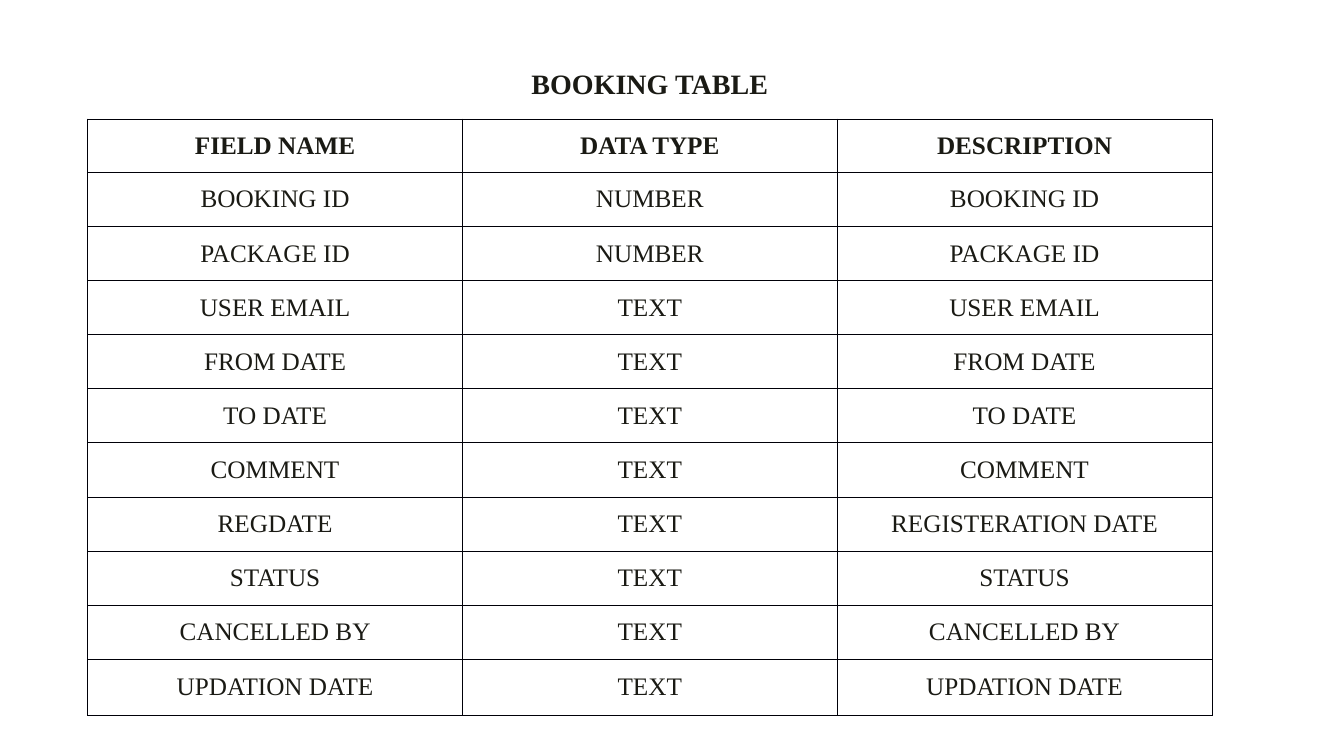
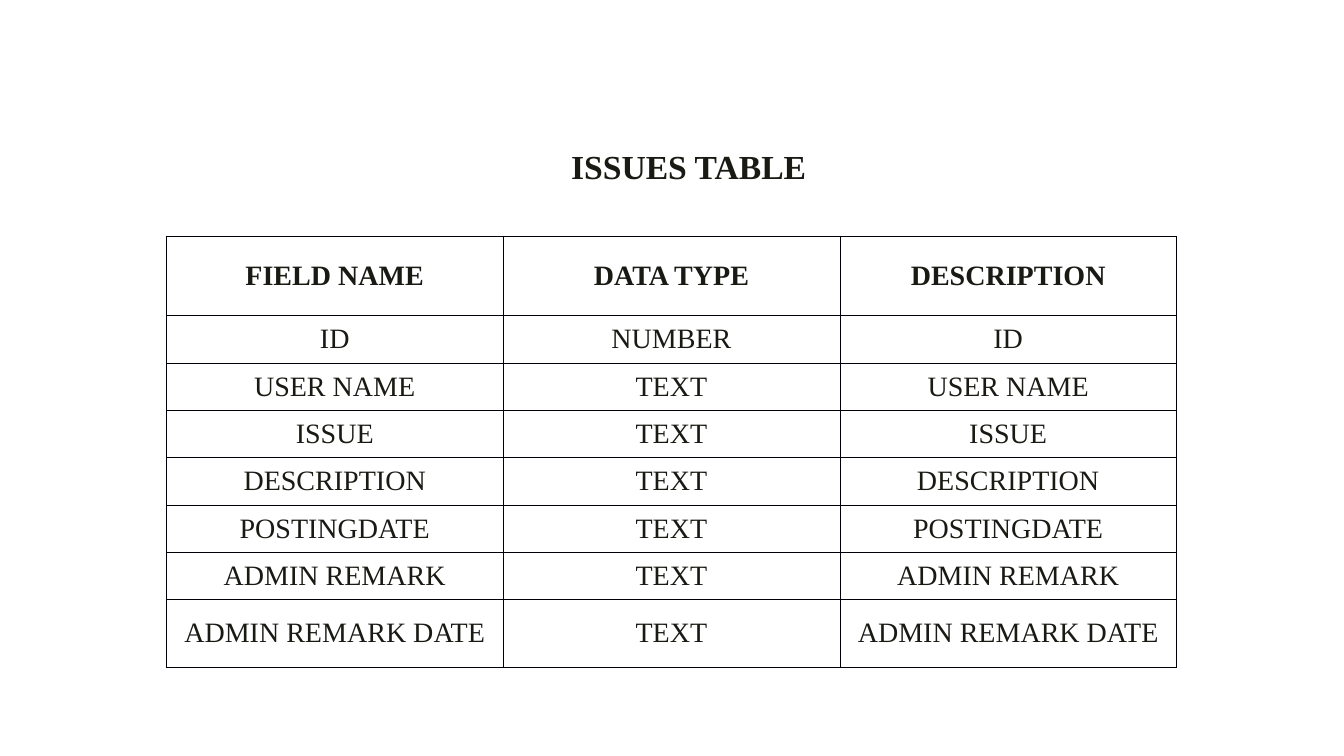
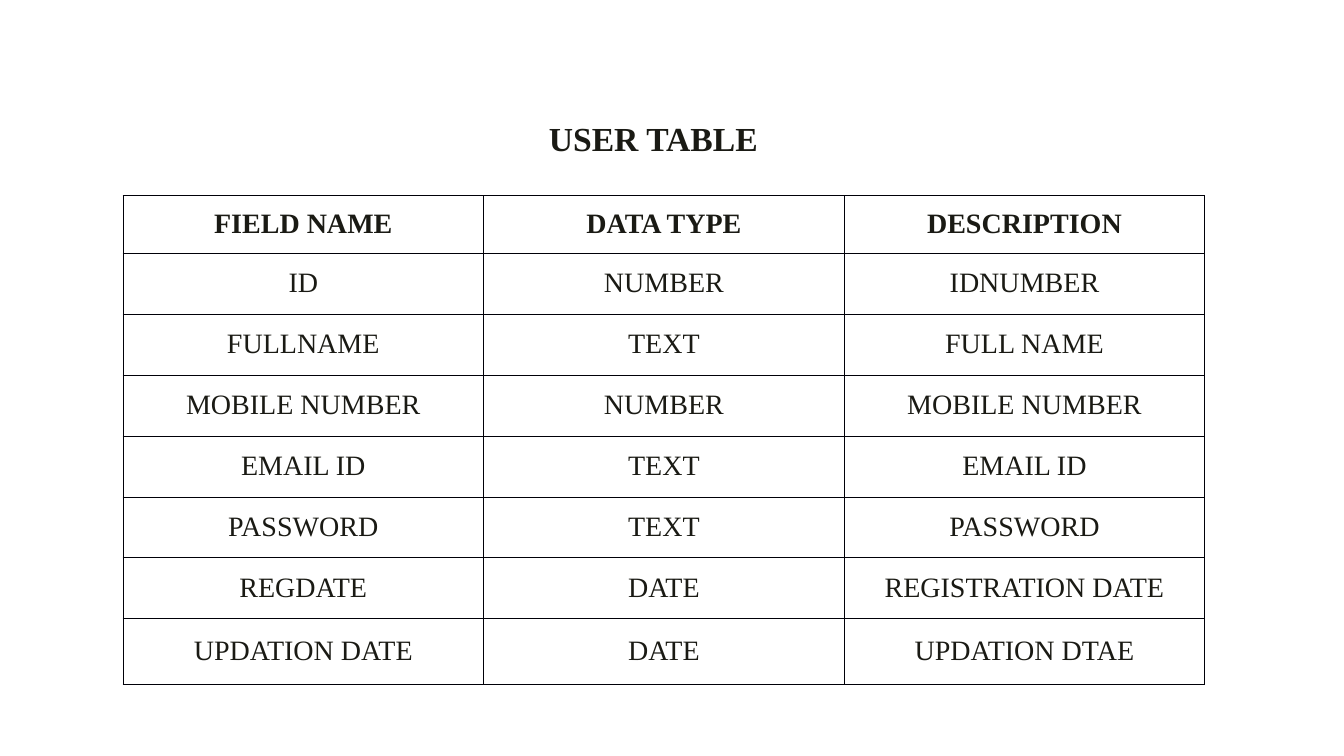
"""Builds three slides that describe the tables of a booking database."""
import dataclasses

import lxml.etree
import pptx
import pptx.dml.color
import pptx.enum.text
import pptx.oxml.ns
import pptx.util
from pptx.util import Inches


@dataclasses.dataclass(frozen=True)
class Theme:
    """Colours, type and line sizes shared by all slides."""
    font: str = "Times New Roman"
    ink: str = "1A1A14"
    paper: str = "FFFFFF"
    border: str = "000008"
    border_width: float = 0.5
    cell_margin: float = 0.07


@dataclasses.dataclass(frozen=True)
class TablePage:
    """Content and layout of one slide, lengths in inches."""
    title: str
    title_at: tuple
    title_size: int
    table_at: tuple
    text_size: int
    header_height: float
    last_height: float
    fields: tuple


THEME = Theme()
HEADER = ("FIELD NAME", "DATA TYPE", "DESCRIPTION")

PAGES = (
    TablePage(
        title="BOOKING TABLE", title_at=(2.96, 0.61, 6.97, 0.45), title_size=20,
        table_at=(0.87, 1.18, 11.15, 5.92), text_size=18,
        header_height=0.53, last_height=0.56,
        fields=(
            ("BOOKING ID", "NUMBER"),
            ("PACKAGE ID", "NUMBER"),
            ("USER EMAIL", "TEXT"),
            ("FROM DATE", "TEXT"),
            ("TO DATE", "TEXT"),
            ("COMMENT", "TEXT"),
            ("REGDATE", "TEXT", "REGISTERATION DATE"),
            ("STATUS", "TEXT"),
            ("CANCELLED BY", "TEXT"),
            ("UPDATION DATE", "TEXT"),
        ),
    ),
    TablePage(
        title="ISSUES TABLE", title_at=(4.05, 1.4, 5.56, 0.74), title_size=24,
        table_at=(1.65, 2.34, 10.02, 4.28), text_size=20,
        header_height=0.79, last_height=0.67,
        fields=(
            ("ID", "NUMBER"),
            ("USER NAME", "TEXT"),
            ("ISSUE", "TEXT"),
            ("DESCRIPTION", "TEXT"),
            ("POSTINGDATE", "TEXT"),
            ("ADMIN REMARK", "TEXT"),
            ("ADMIN REMARK DATE", "TEXT"),
        ),
    ),
    TablePage(
        title="USER TABLE", title_at=(1.31, 1.12, 10.34, 0.74), title_size=24,
        table_at=(1.22, 1.94, 10.73, 4.85), text_size=20,
        header_height=0.57, last_height=0.65,
        fields=(
            ("ID", "NUMBER", "IDNUMBER"),
            ("FULLNAME", "TEXT", "FULL NAME"),
            ("MOBILE NUMBER", "NUMBER"),
            ("EMAIL ID", "TEXT"),
            ("PASSWORD", "TEXT"),
            ("REGDATE", "DATE", "REGISTRATION DATE"),
            ("UPDATION DATE", "DATE", "UPDATION DTAE"),
        ),
    ),
)


def write_text(frame, text, size, bold):
    """Put one centred line into a text frame."""
    frame.text = text
    para = frame.paragraphs[0]
    para.alignment = pptx.enum.text.PP_ALIGN.CENTER
    font = para.runs[0].font
    font.name = THEME.font
    font.size = pptx.util.Pt(size)
    font.bold = bold
    font.color.rgb = pptx.dml.color.RGBColor.from_string(THEME.ink)


def add_title(slide, page):
    """Add the heading above the table."""
    box = slide.shapes.add_textbox(*map(Inches, page.title_at))
    box.text_frame.word_wrap = True
    write_text(box.text_frame, page.title, page.title_size, True)


def set_borders(cell):
    """Draw a thin line on all four sides of a cell."""
    qualify = pptx.oxml.ns.qn
    properties = cell._tc.get_or_add_tcPr()
    width = str(pptx.util.Pt(THEME.border_width))
    for side in ("a:lnL", "a:lnR", "a:lnT", "a:lnB"):
        line = lxml.etree.SubElement(properties, qualify(side), w=width)
        fill = lxml.etree.SubElement(line, qualify("a:solidFill"))
        lxml.etree.SubElement(fill, qualify("a:srgbClr"), val=THEME.border)


def format_cell(cell, text, size, bold):
    """Fill one cell with centred text, borders and no background."""
    cell.margin_left = cell.margin_right = Inches(THEME.cell_margin)
    cell.margin_top = cell.margin_bottom = 0
    cell.vertical_anchor = pptx.enum.text.MSO_ANCHOR.MIDDLE
    write_text(cell.text_frame, text, size, bold)
    set_borders(cell)
    cell.fill.background()


def complete_row(field, data_type, description=None):
    """Use the field name as description where none is given."""
    return field, data_type, description or field


def add_field_table(slide, page):
    """Add the table of fields, with equal rows between header and last."""
    rows = [HEADER] + [complete_row(*field) for field in page.fields]
    frame = slide.shapes.add_table(len(rows), len(HEADER), *map(Inches, page.table_at))
    table = frame.table
    table.first_row = table.horz_banding = False
    middle = page.table_at[3] - page.header_height - page.last_height
    body_count = len(rows) - 2
    heights = [page.header_height] + [middle / body_count] * body_count + [page.last_height]
    for index, (texts, height) in enumerate(zip(rows, heights)):
        table.rows[index].height = Inches(height)
        for column, text in enumerate(texts):
            format_cell(table.cell(index, column), text, page.text_size, index == 0)


def add_page(deck, page):
    """Add one slide with its title and table."""
    slide = deck.slides.add_slide(deck.slide_layouts[6])
    background = slide.background.fill
    background.solid()
    background.fore_color.rgb = pptx.dml.color.RGBColor.from_string(THEME.paper)
    add_title(slide, page)
    add_field_table(slide, page)


def main():
    """Build and save the deck."""
    deck = pptx.Presentation()
    deck.slide_width = Inches(13.33)
    deck.slide_height = Inches(7.5)
    for page in PAGES:
        add_page(deck, page)
    deck.save("out.pptx")


if __name__ == "__main__":
    main()
